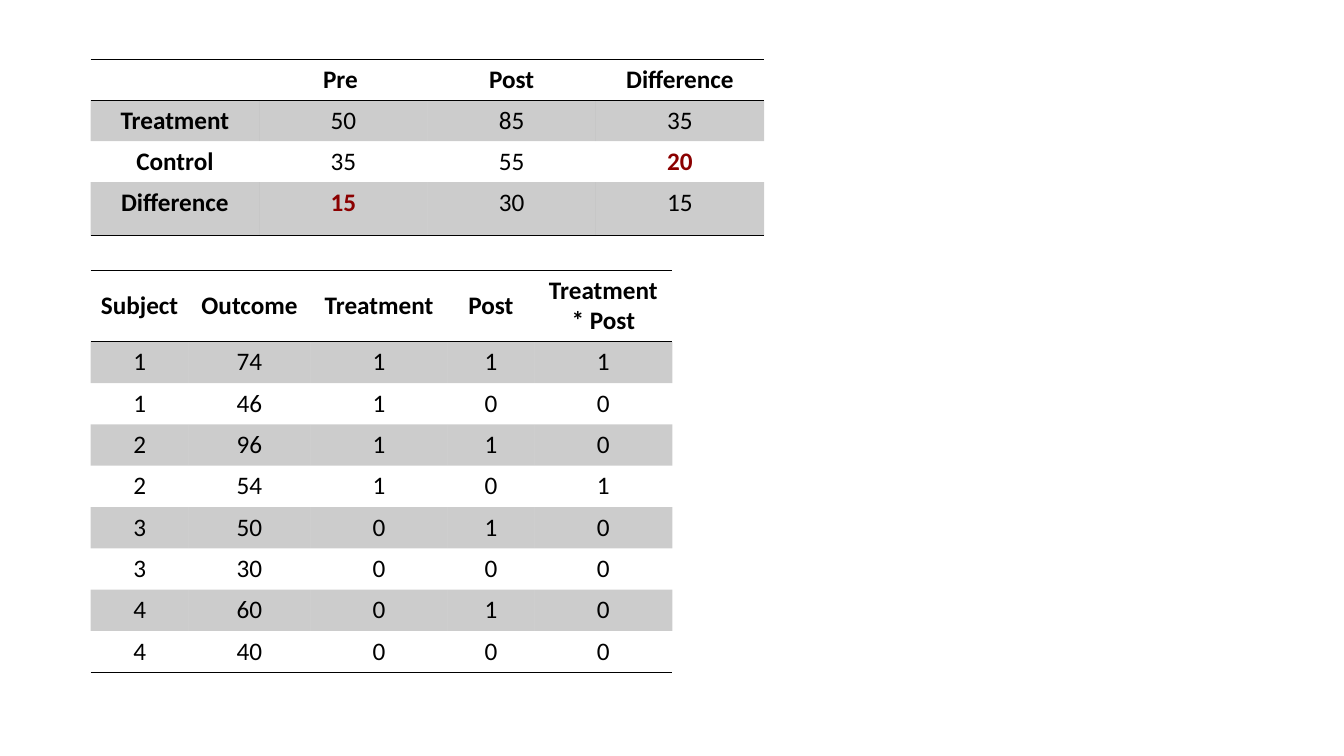
import dataclasses

import pptx
import pptx.dml.color
import pptx.enum.text
import pptx.oxml
import pptx.oxml.ns
import pptx.table
import pptx.util
from pptx.util import Inches

BLACK = "000000"
DARK_RED = "8B0000"
PLAIN_STYLE = "{2D5ABB26-0587-4C30-8999-92F81FD0307C}"


@dataclasses.dataclass
class DataTable:
    left: float
    top: float
    height: float
    columns: list[float]
    row_heights: list[float]
    rows: list[list[str]]
    middle_header: bool = False
    bold_first_column: bool = False
    highlights: tuple[tuple[int, int], ...] = ()


def rgb(color: str) -> pptx.dml.color.RGBColor:
    return pptx.dml.color.RGBColor.from_string(color)


def add_border(cell: pptx.table._Cell, tag: str) -> None:
    """Add a 1 pt line; call after the fill is set, bottom ahead of top."""
    line = pptx.oxml.parse_xml(
        f'<a:{tag} {pptx.oxml.ns.nsdecls("a")} w="{pptx.util.Pt(1)}"><a:solidFill>'
        f'<a:srgbClr val="{BLACK}"/></a:solidFill></a:{tag}>'
    )
    cell._tc.get_or_add_tcPr().insert(0, line)


def fill_cell(cell: pptx.table._Cell, banded: bool) -> None:
    """Give banded cells a 20 % black fill and leave the others clear."""
    if not banded:
        cell.fill.background()
        return
    cell.fill.solid()
    cell.fill.fore_color.rgb = rgb(BLACK)
    color = cell._tc.tcPr.find(".//" + pptx.oxml.ns.qn("a:srgbClr"))
    color.append(pptx.oxml.parse_xml(
        f'<a:alpha {pptx.oxml.ns.nsdecls("a")} val="20000"/>'))


def write_cell(cell: pptx.table._Cell, text: str, bold: bool, color: str) -> None:
    if not text:
        return
    p = cell.text_frame.paragraphs[0]
    p.text = text
    p.alignment = pptx.enum.text.PP_ALIGN.CENTER
    font = p.runs[0].font
    font.name = "Calibri"
    font.size = pptx.util.Pt(18)
    font.bold = bold
    font.color.rgb = rgb(color)


def add_data_table(s: pptx.slide.Slide, data: DataTable) -> None:
    frame = s.shapes.add_table(
        len(data.rows), len(data.columns), Inches(data.left), Inches(data.top),
        Inches(sum(data.columns)), Inches(data.height))
    table = frame.table
    table._tbl.tblPr.find(pptx.oxml.ns.qn("a:tableStyleId")).text = PLAIN_STYLE
    for column, width in zip(table.columns, data.columns):
        column.width = Inches(width)
    for row, height in zip(table.rows, data.row_heights):
        row.height = Inches(height)
    frame.height = Inches(data.height)

    last = len(data.rows) - 1
    for i, values in enumerate(data.rows):
        for j, text in enumerate(values):
            cell = table.cell(i, j)
            red = (i, j) in data.highlights
            bold = i == 0 or red or (j == 0 and data.bold_first_column)
            write_cell(cell, text, bold, DARK_RED if red else BLACK)
            fill_cell(cell, banded=i % 2 == 1)
            if i in (0, last):
                add_border(cell, "lnB")
            if i == 0:
                add_border(cell, "lnT")
                if data.middle_header:
                    cell.vertical_anchor = pptx.enum.text.MSO_ANCHOR.MIDDLE


SUBJECTS = DataTable(
    left=0.9, top=2.68, height=3.94,
    columns=[0.97, 1.21, 1.36, 0.86, 1.37],
    row_heights=[0.41] * 9,
    rows=[
        ["Subject", "Outcome", "Treatment", "Post", "Treatment * Post"],
        ["1", "74", "1", "1", "1"],
        ["1", "46", "1", "0", "0"],
        ["2", "96", "1", "1", "0"],
        ["2", "54", "1", "0", "1"],
        ["3", "50", "0", "1", "0"],
        ["3", "30", "0", "0", "0"],
        ["4", "60", "0", "1", "0"],
        ["4", "40", "0", "0", "0"],
    ],
    middle_header=True,
)

DIFFERENCES = DataTable(
    left=0.9, top=0.59, height=1.73,
    columns=[1.67] * 4,
    row_heights=[0.36, 0.39, 0.37, 0.53],
    rows=[
        ["", "Pre ", "Post", "Difference"],
        ["Treatment", "50", "85", "35"],
        ["Control", "35", "55", "20"],
        ["Difference", "15", "30", "15"],
    ],
    bold_first_column=True,
    highlights=((2, 3), (3, 1)),
)


def main() -> None:
    prs = pptx.Presentation()
    prs.slide_width = Inches(13.33)
    prs.slide_height = Inches(7.5)
    s = prs.slides.add_slide(prs.slide_layouts[6])
    for data in (SUBJECTS, DIFFERENCES):
        add_data_table(s, data)
    prs.save("out.pptx")


if __name__ == "__main__":
    main()
